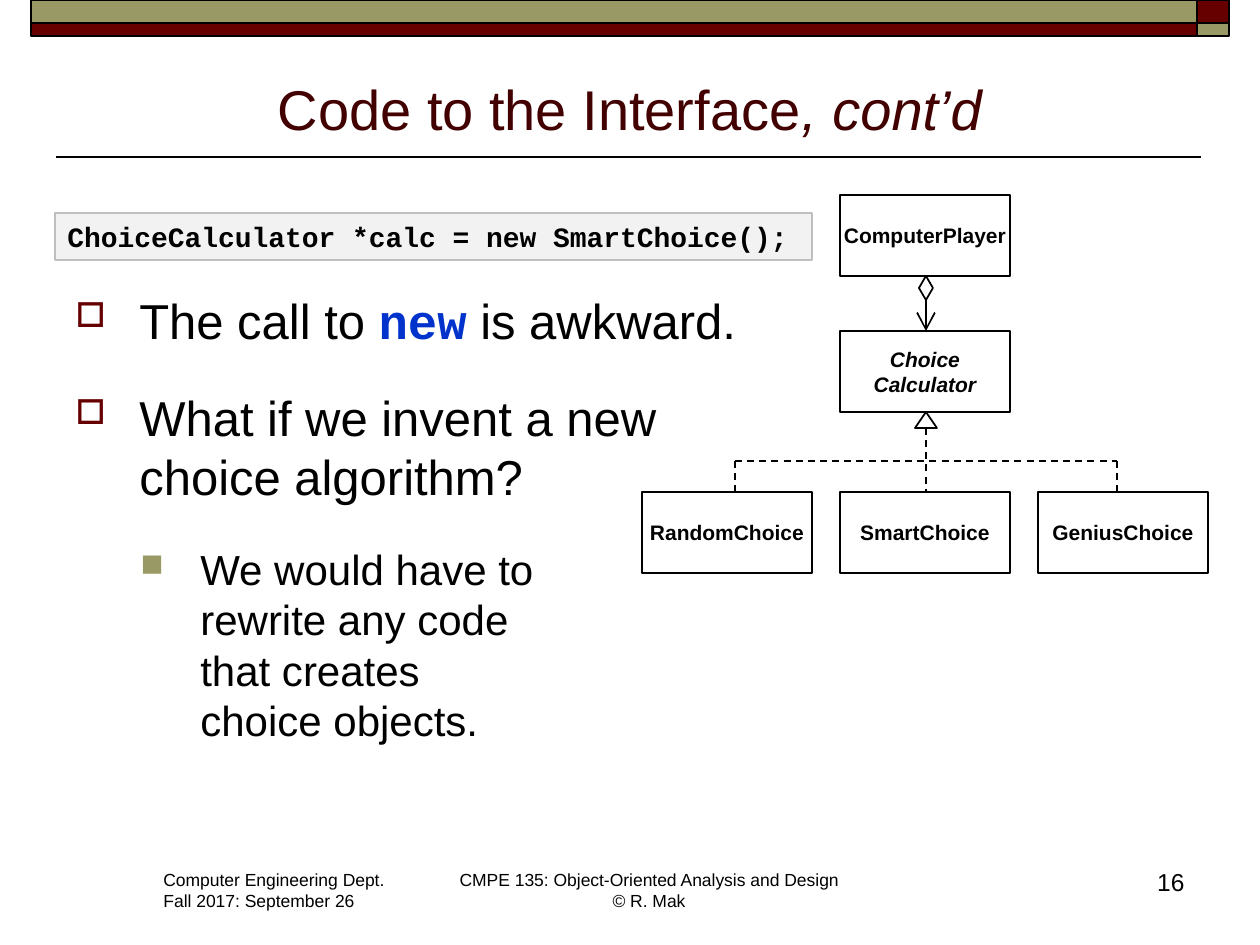
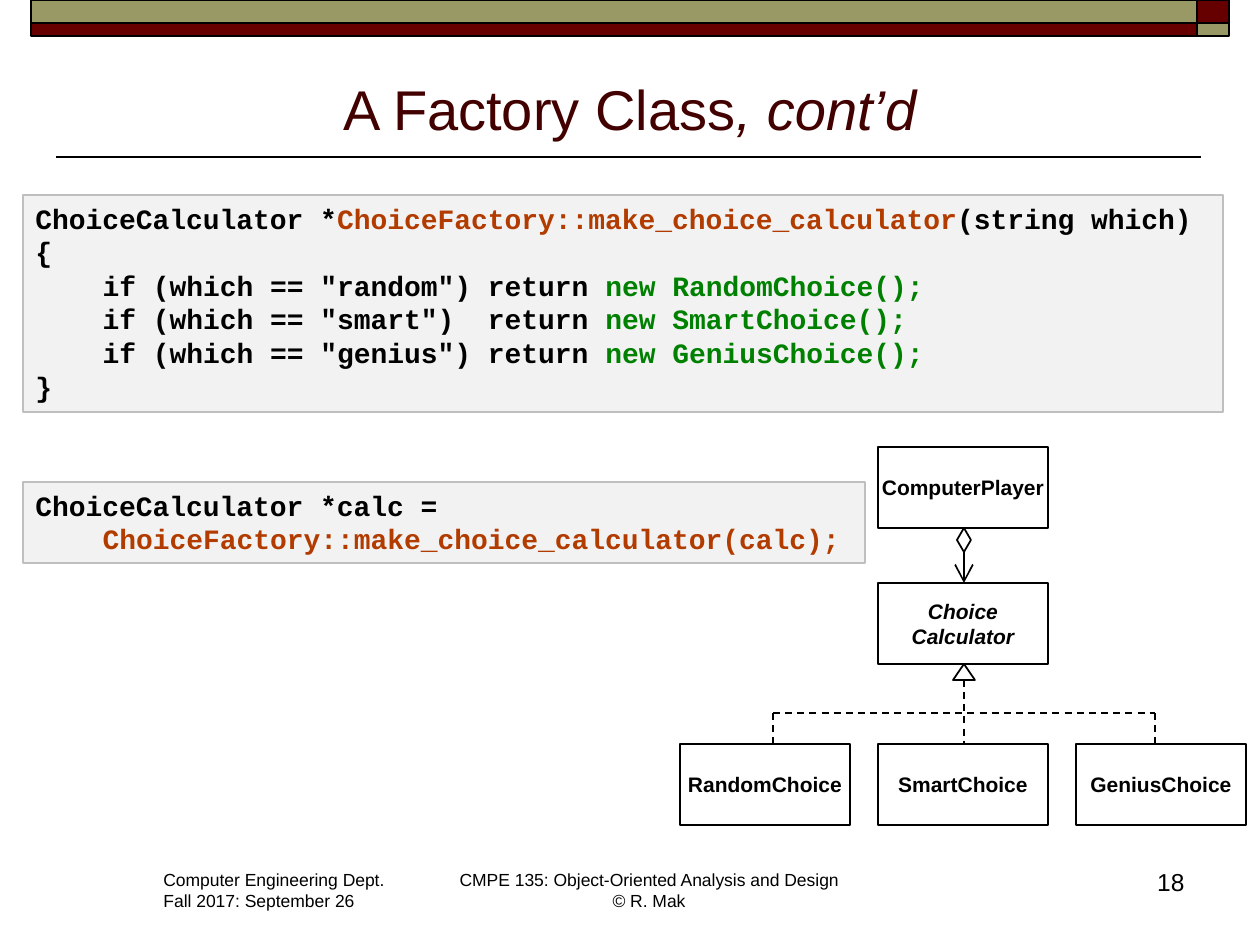
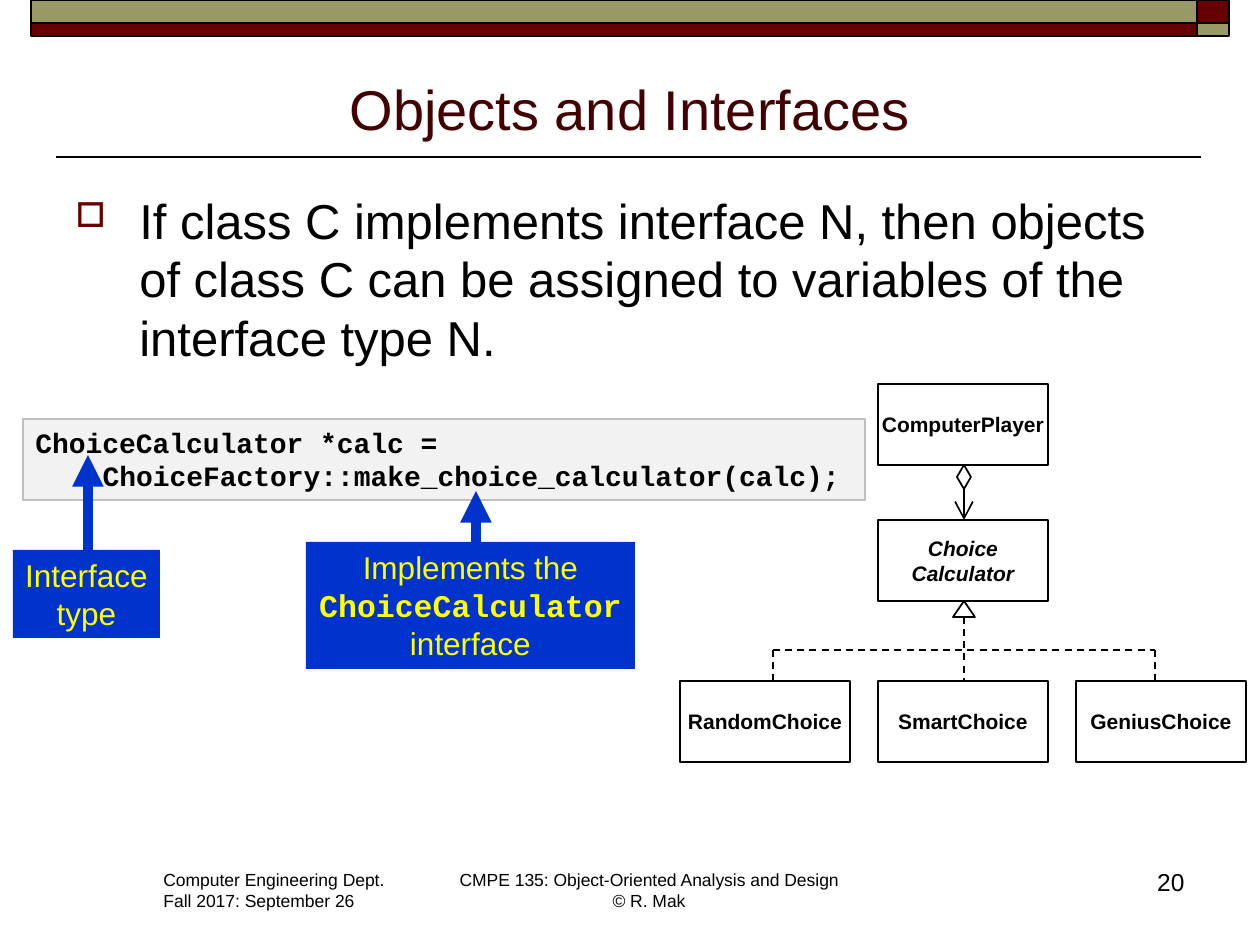
from lxml import etree
from pptx import Presentation
from pptx import util as u
from pptx.dml import color
from pptx.enum import dml, shapes, text
from pptx.oxml import ns

SCALE = 914400 // 126
HUES = {
    "ink": "000000", "wine": "660000", "olive": "999966", "title": "420000",
    "pale": "F2F2F2", "grey": "BFBFBF", "blue": "0033CC", "yellow": "FFFF00",
    "rust": "B23C00", "green": "008000",
}
ALIGN = {"l": text.PP_ALIGN.LEFT, "c": text.PP_ALIGN.CENTER, "r": text.PP_ALIGN.RIGHT}
SANS, MONO = "Arial", "Courier New"
BULLETS = {
    1: dict(char="□", hue="wine", pct=70, left=64, hang=64, size=28),
    2: dict(char="■", hue="olive", pct=75, left=125, hang=60, size=24),
}


def px(n):
    return u.Emu(round(n * SCALE))


def rgb(name):
    return color.RGBColor.from_string(HUES[name])


def sub(node, tag, **attrs):
    return etree.SubElement(node, ns.qn(tag), attrs)


def write(frame, runs, size=12, font=SANS, hue="ink", bold=False, italic=False,
          align="l", left=0, hang=0, gap=0, mark=None):
    para = frame.paragraphs[-1]
    if para.runs:
        para = frame.add_paragraph()
    para.alignment = ALIGN[align]
    para.line_spacing = u.Pt(round(size * 1.2, 1))
    para.space_before = u.Pt(gap)
    base = dict(font=font, hue=hue, bold=bold, italic=italic)
    for item in [runs] if isinstance(runs, str) else runs:
        words, extra = (item, {}) if isinstance(item, str) else item
        look = {**base, **extra}
        for i, line in enumerate(words.split("\n")):
            if i:
                para.add_line_break()
            run = para.add_run()
            run.text = line
            face = run.font
            face.size, face.name = u.Pt(size), look["font"]
            face.bold, face.italic = look["bold"], look["italic"]
            face.color.rgb = rgb(look["hue"])
    props = para._p.get_or_add_pPr()
    props.set("marL", str(px(left)))
    props.set("indent", str(px(-hang)))
    if mark:
        sub(sub(props, "a:buClr"), "a:srgbClr", val=HUES[mark["hue"]])
        sub(props, "a:buSzPct", val=str(mark["pct"] * 1000))
        sub(props, "a:buChar", char=mark["char"])


class Deck:
    def __init__(self):
        self.file = Presentation()
        self.file.slide_width, self.file.slide_height = px(1260), px(945)
        self.slide = None

    def start(self, title, number):
        self.slide = self.file.slides.add_slide(self.file.slide_layouts[6])
        self.line(1201, 157, 56, 157)
        for x, y, w, h, hue in ((1197, 0, 32, 23, "wine"), (31, 0, 1166, 23, "olive"),
                                (31, 23, 1166, 13, "wine"), (1197, 23, 32, 13, "olive")):
            self.shape(x, y, w, h, fill=hue)
        dept = self.box(151, 863, 248, 55, wrap=False)
        for row in ("Computer Engineering Dept.", "Fall 2017: September 26"):
            write(dept, row, size=10)
        course = self.box(445, 863, 408, 55, wrap=False)
        write(course, "CMPE 135: Object-Oriented Analysis and Design\n© R. Mak",
              size=10, align="c")
        head = self.box(63, 57, 1134, 91)
        head.vertical_anchor = text.MSO_ANCHOR.BOTTOM
        write(head, title, size=32, hue="title", align="c")
        write(self.box(1121, 861, 76, 63), number, size=14, align="r")

    def box(self, x, y, w, h, wrap=True):
        frame = self.slide.shapes.add_textbox(px(x), px(y), px(w), px(h)).text_frame
        frame.word_wrap = wrap
        return frame

    def shape(self, x, y, w, h, kind="RECTANGLE", fill=None, edge="ink", width=1):
        item = self.slide.shapes.add_shape(
            shapes.MSO_SHAPE[kind], px(x), px(y), px(w), px(h))
        item.shadow.inherit = False
        if fill:
            item.fill.solid()
            item.fill.fore_color.rgb = rgb(fill)
        else:
            item.fill.background()
        if edge:
            item.line.color.rgb = rgb(edge)
            item.line.width = u.Pt(width)
        else:
            item.line.fill.background()
        return item

    def line(self, x1, y1, x2, y2, hue="ink", width=1, dash=False, tip=None, big="med"):
        item = self.slide.shapes.add_connector(
            shapes.MSO_CONNECTOR.STRAIGHT, px(x1), px(y1), px(x2), px(y2))
        item.line.color.rgb = rgb(hue)
        item.line.width = u.Pt(width)
        if dash:
            item.line.dash_style = dml.MSO_LINE.DASH
        if tip:
            sub(item.line._get_or_add_ln(), "a:tailEnd", type=tip, w=big, len=big)
        sub(item._element.spPr, "a:effectLst")

    def code(self, x, y, w, h, rows):
        frame = self.shape(x, y, w, h, fill="pale", edge="grey", width=0.75).text_frame
        frame.word_wrap = True
        frame.vertical_anchor = text.MSO_ANCHOR.TOP
        for depth, runs in rows:
            write(frame, runs, size=16, font=MONO, bold=True, left=depth * 67.2)

    def bullets(self, y, h, items):
        frame = self.box(63, y, 1134, h)
        for level, runs in items:
            mark = BULLETS[level]
            write(frame, runs, size=mark["size"], left=mark["left"],
                  hang=mark["hang"], gap=22 if frame.paragraphs[0].runs else 0, mark=mark)

    def node(self, x, y, names, italic=False):
        frame = self.shape(x, y, 170, 81).text_frame
        frame.word_wrap = False
        frame.margin_left = frame.margin_right = 0
        frame.vertical_anchor = text.MSO_ANCHOR.MIDDLE
        for name in names:
            write(frame, name, bold=True, italic=italic, align="c")

    def tree(self, x, y):
        mid, bar, low = x + 86, y + 266, y + 297
        self.node(x, y, ["ComputerPlayer"])
        self.node(x, y + 136, ["Choice", "Calculator"], italic=True)
        for i, name in enumerate(("RandomChoice", "SmartChoice", "GeniusChoice")):
            self.node(x + 198 * (i - 1), low, [name])
        self.shape(mid - 7, y + 81, 14, 24, "DIAMOND")
        self.line(mid, y + 105, mid, y + 136, tip="arrow", big="lg")
        self.shape(mid - 11, y + 217, 22, 16, "ISOSCELES_TRIANGLE")
        self.line(mid, y + 233, mid, low, dash=True)
        self.line(mid - 191, bar, mid + 191, bar, dash=True)
        for side in (mid - 191, mid + 191):
            self.line(side, low, side, bar, dash=True)

    def callout(self, x, y, w, h, rows, tip):
        frame = self.shape(x, y, w, h, fill="blue", edge=None).text_frame
        frame.word_wrap = False
        frame.vertical_anchor = text.MSO_ANCHOR.TOP
        for runs in rows:
            write(frame, runs, size=18, hue="yellow", align="c")
        self.line(tip[0], y, *tip, hue="blue", width=6, tip="triangle")


RUST, GREEN, SLANT = {"hue": "rust"}, {"hue": "green"}, {"italic": True}
CALL = "ChoiceFactory::make_choice_calculator(calc);"
ASSIGN = "ChoiceCalculator *calc ="

deck = Deck()

deck.start(["Code to the Interface", (", cont’d", SLANT)], "16")
deck.bullets(284, 561, [
    (1, ["The call to ", ("new", dict(font=MONO, hue="blue", bold=True)), " is awkward."]),
    (1, "What if we invent a new\nchoice algorithm?"),
    (2, "We would have to\nrewrite any code\nthat creates\nchoice objects."),
])
deck.tree(840, 195)
deck.code(55, 213, 757, 47, [(0, "ChoiceCalculator *calc = new SmartChoice();")])

deck.start(["A Factory Class", (", cont’d", SLANT)], "18")
tests = (("random", ") ", "Random"), ("smart", ")  ", "Smart"), ("genius", ") ", "Genius"))
deck.code(23, 195, 1200, 217, [
    (0, ["ChoiceCalculator *", ("ChoiceFactory::make_choice_calculator", RUST),
         "(string which)"]),
    (0, "{"),
    *((1, [f'if (which == "{key}"{end}return ', (f"new {name}Choice();", GREEN)])
      for key, end, name in tests),
    (0, "}"),
])
deck.tree(878, 447)
deck.code(23, 482, 842, 81, [(0, ASSIGN), (1, [(CALL, RUST)])])

deck.start("Objects and Interfaces", "20")
deck.bullets(184, 667, [
    (1, "If class C implements interface N, then objects of class C can be "
        "assigned to variables of the interface type N."),
])
deck.tree(878, 384)
deck.code(23, 419, 842, 81, [(0, ASSIGN), (1, CALL)])
deck.callout(306, 542, 329, 127, [
    "Implements the", [("ChoiceCalculator", dict(font=MONO, bold=True))], "interface",
], (476, 491))
deck.callout(13, 550, 147, 88, ["Interface", "type"], (88, 455))

deck.file.save("out.pptx")
